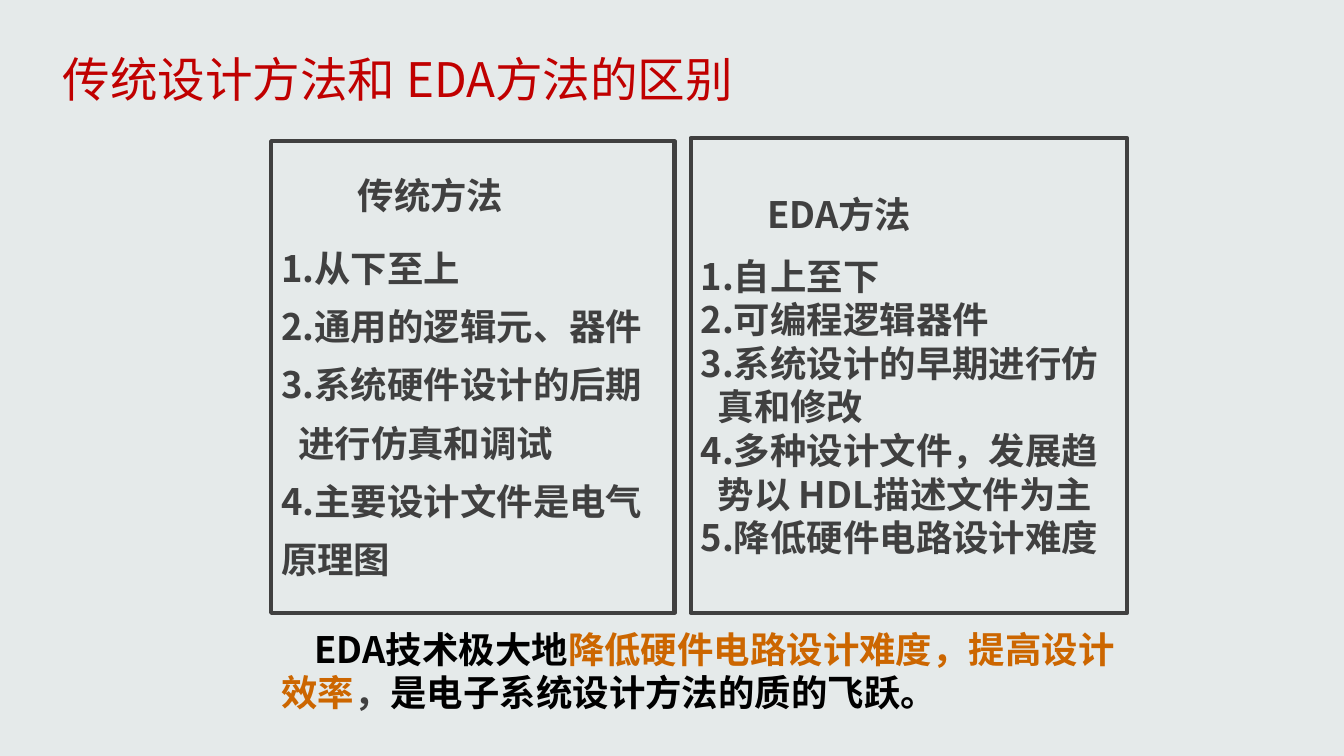
import pptx
import pptx.util
import pptx.dml.color
import pptx.enum.shapes
import pptx.enum.text
import pptx.oxml.ns
from dataclasses import dataclass
from lxml import etree

TITLE = "传统设计方法和 EDA方法的区别"
PANELS = [
    {"box": (2.69, 1.4, 4, 4.68),
     "lines": [("传统方法", 0.76, 0), ("1.从下至上", 0, 0.8),
               ("2.通用的逻辑元、器件", 0, 0.4), ("3.系统硬件设计的后期", 0, 0.4),
               ("进行仿真和调试", 0.17, 0.4), ("4.主要设计文件是电气", 0, 0.4),
               ("原理图", 0, 0.4)]},
    {"box": (6.85, 1.37, 4.33, 4.71),
     "lines": [("EDA方法", 0.66, 0), ("1.自上至下", 0, 0.5),
               ("2.可编程逻辑器件", 0, 0), ("3.系统设计的早期进行仿", 0, 0),
               ("真和修改", 0.17, 0), ("4.多种设计文件，发展趋", 0, 0),
               ("势以 HDL描述文件为主", 0.17, 0), ("5.降低硬件电路设计难度", 0, 0)]},
]
SUMMARY = [("EDA技术极大地", "black"), ("降低硬件电路设计难度，提高设计效率", "accent"),
           ("，", "ink"), ("是电子系统设计方法的质的飞跃。", "black")]
TITLE_BOX = (0.52, 0.51, 12.45, 0.82)
SUMMARY_BOX = (2.69, 6.17, 8.5, 0.97)


@dataclass
class Theme:
    back: str = "E5EAEA"
    ink: str = "404040"
    black: str = "000000"
    accent: str = "CC6600"
    title: str = "C00000"
    face: str = "Noto Sans CJK SC"
    title_size: int = 34
    body_size: int = 26
    border: int = 3


T = Theme()


def rgb(value):
    return pptx.dml.color.RGBColor.from_string(value)


def inches(box):
    return [pptx.util.Inches(v) for v in box]


def style(p, size, color, bold):
    p.font.size = pptx.util.Pt(size)
    p.font.bold = bold
    p.font.color.rgb = rgb(color)
    p.font.name = T.face
    props = p._p.pPr.find(pptx.oxml.ns.qn("a:defRPr"))
    etree.SubElement(props, pptx.oxml.ns.qn("a:ea"), typeface=T.face)


def indent(p, first):
    p._p.get_or_add_pPr().set("marL", "0")
    p._p.pPr.set("indent", str(pptx.util.Inches(first)))


def add_title(s):
    sp = s.shapes.title
    sp.left, sp.top, sp.width, sp.height = inches(TITLE_BOX)
    tf = sp.text_frame
    tf.text = TITLE
    tf.vertical_anchor = pptx.enum.text.MSO_ANCHOR.TOP
    p = tf.paragraphs[0]
    p.alignment = pptx.enum.text.PP_ALIGN.LEFT
    p.line_spacing = 0.9
    style(p, T.title_size, T.title, False)


def add_panel(s, panel):
    sp = s.shapes.add_shape(pptx.enum.shapes.MSO_SHAPE.RECTANGLE, *inches(panel["box"]))
    sp.shadow.inherit = False
    sp.fill.background()
    sp.line.color.rgb = rgb(T.ink)
    sp.line.width = pptx.util.Pt(T.border)
    tf = sp.text_frame
    tf.word_wrap = False
    tf.vertical_anchor = pptx.enum.text.MSO_ANCHOR.MIDDLE
    for i, (text, first, gap) in enumerate(panel["lines"]):
        p = tf.add_paragraph() if i else tf.paragraphs[0]
        p.text = text
        p.alignment = pptx.enum.text.PP_ALIGN.LEFT
        p.space_before = pptx.util.Pt(gap * T.body_size)
        indent(p, first)
        style(p, T.body_size, T.ink, True)


def add_summary(s):
    tf = s.shapes.add_textbox(*inches(SUMMARY_BOX)).text_frame
    tf.word_wrap = True
    p = tf.paragraphs[0]
    indent(p, 0.33)
    style(p, T.body_size, T.black, True)
    for text, color in SUMMARY:
        r = p.add_run()
        r.text = text
        r.font.color.rgb = rgb(getattr(T, color))


def main():
    prs = pptx.Presentation()
    prs.slide_width, prs.slide_height = inches((13.33, 7.5))
    s = prs.slides.add_slide(prs.slide_layouts[5])
    s.background.fill.solid()
    s.background.fill.fore_color.rgb = rgb(T.back)
    add_title(s)
    for panel in PANELS:
        add_panel(s, panel)
    add_summary(s)
    prs.save("out.pptx")


if __name__ == "__main__":
    main()
